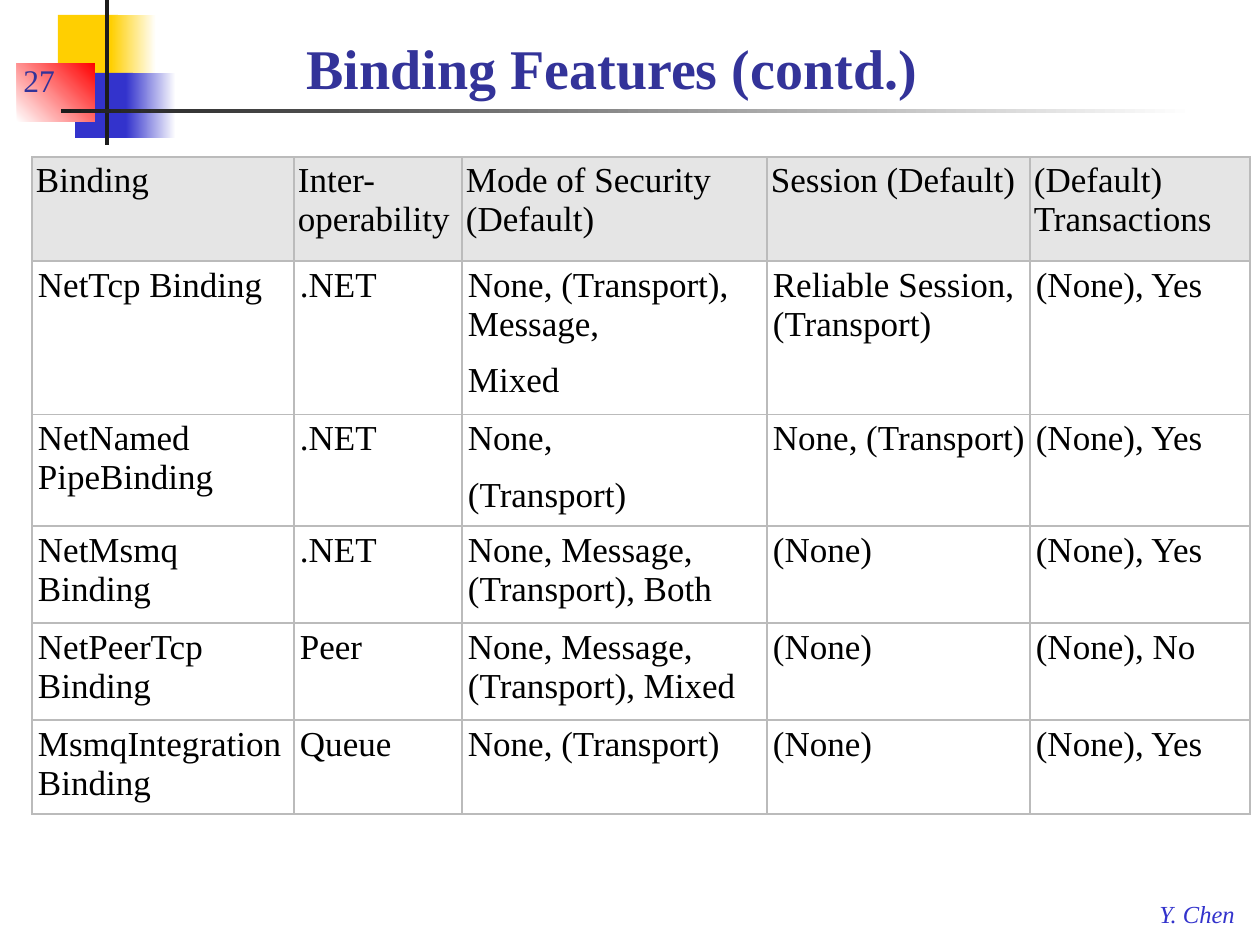
from lxml import etree
from pptx import Presentation
from pptx import util as u
from pptx.dml.color import RGBColor
from pptx.enum import shapes, text
from pptx.oxml.ns import qn

PX = 914400 // 126
FONT = "Times New Roman"
COLORS = {
    "yellow": "FFCF01", "blue": "3333CC", "red": "FF0000", "dark": "1C1C1C",
    "white": "FFFFFF", "title": "333399", "black": "000000",
    "header": "E5E5E5", "border": "BBBBBB",
}
ORNAMENTS = [
    ((58, 15, 60, 66), ["yellow"], 0),
    ((111, 15, 45, 66), ["yellow", "white"], 0),
    ((75, 73, 58, 65), ["blue"], 0),
    ((126, 73, 50, 65), ["blue", "white"], 0),
    ((17, 63, 78, 59), ["white", "red"], 45),
    ((105, 0, 4, 145), ["dark"], 0),
    ((61, 109, 1134, 4), ["dark", "white"], 0),
]
COLUMN_WIDTHS = [262, 168, 305, 263, 220]
ROW_HEIGHTS = [104, 153, 111, 97, 97, 94]
BINDINGS = [
    ["Binding", "Inter-operability", "Mode of Security (Default)",
     "Session (Default)", "(Default) Transactions"],
    ["NetTcp Binding", ".NET", "None, (Transport), Message,\nMixed",
     "Reliable Session, (Transport)", "(None), Yes"],
    ["NetNamed PipeBinding", ".NET", "None,\n(Transport)",
     "None, (Transport)", "(None), Yes"],
    ["NetMsmq Binding", ".NET", "None, Message, (Transport), Both",
     "(None)", "(None), Yes"],
    ["NetPeerTcp Binding", "Peer", "None, Message, (Transport), Mixed",
     "(None)", "(None), No"],
    ["MsmqIntegration Binding", "Queue", "None, (Transport)",
     "(None)", "(None), Yes"],
]


def px(*lengths):
    return [u.Emu(length * PX) for length in lengths]


def rgb(name):
    return RGBColor.from_string(COLORS[name])


def style(paragraph, size, color, bold=False, italic=False):
    font = paragraph.font
    font.name, font.size = FONT, u.Pt(size)
    font.bold, font.italic = bold, italic
    font.color.rgb = rgb(color)


def add_ornament(slide, box, colors, angle):
    ornament = slide.shapes.add_shape(shapes.MSO_SHAPE.RECTANGLE, *px(*box))
    ornament.shadow.inherit = False
    ornament.line.fill.background()
    if len(colors) == 1:
        ornament.fill.solid()
        ornament.fill.fore_color.rgb = rgb(colors[0])
        return
    ornament.fill.gradient()
    ornament.fill.gradient_angle = angle
    for stop, color in zip(ornament.fill.gradient_stops, colors):
        stop.color.rgb = rgb(color)


def set_title(slide, words, box):
    title = slide.shapes.title
    title.left, title.top, title.width, title.height = px(*box)
    frame = title.text_frame
    frame.text = words
    frame.vertical_anchor = text.MSO_ANCHOR.BOTTOM
    frame.paragraphs[0].alignment = text.PP_ALIGN.LEFT
    style(frame.paragraphs[0], 32, "title", bold=True)


def add_label(slide, words, box, size, color, anchor, wrap=True, italic=False):
    frame = slide.shapes.add_textbox(*px(*box)).text_frame
    frame.text = words
    frame.word_wrap = wrap
    frame.vertical_anchor = anchor
    style(frame.paragraphs[0], size, color, italic=italic)


def add_borders(cell):
    properties = cell._tc.get_or_add_tcPr()
    for side in ("a:lnL", "a:lnR", "a:lnT", "a:lnB"):
        line = etree.SubElement(properties, qn(side), w=str(u.Pt(1)))
        fill = etree.SubElement(line, qn("a:solidFill"))
        etree.SubElement(fill, qn("a:srgbClr"), val=COLORS["border"])


def fill_cell(cell, words, is_header):
    margin, = px(4 if is_header else 5)
    cell.margin_left = cell.margin_right = margin
    cell.margin_top = cell.margin_bottom = margin
    add_borders(cell)
    cell.fill.solid()
    cell.fill.fore_color.rgb = rgb("header" if is_header else "white")
    cell.text_frame.text = words
    for paragraph in cell.text_frame.paragraphs:
        if not is_header:
            paragraph.space_after = u.Pt(10)
            paragraph._p.get_or_add_pPr().set("marL", str(PX))
        style(paragraph, 20, "black")


def add_bindings_table(slide, left, top):
    box = px(left, top, sum(COLUMN_WIDTHS), sum(ROW_HEIGHTS))
    table = slide.shapes.add_table(len(ROW_HEIGHTS), len(COLUMN_WIDTHS), *box).table
    table.first_row = table.horz_banding = False
    for column, width in zip(table.columns, px(*COLUMN_WIDTHS)):
        column.width = width
    for index, (row, height) in enumerate(zip(table.rows, px(*ROW_HEIGHTS))):
        row.height = height
        for cell, words in zip(row.cells, BINDINGS[index]):
            fill_cell(cell, words, index == 0)


def main():
    deck = Presentation()
    deck.slide_width, deck.slide_height = px(1260, 945)
    slide = deck.slides.add_slide(deck.slide_layouts[5])
    for box, colors, angle in ORNAMENTS:
        add_ornament(slide, box, colors, angle)
    set_title(slide, "Binding Features (contd.)", (294, 21, 955, 86))
    add_label(slide, "Y. Chen", (1147, 893, 103, 42), 14, "blue",
              text.MSO_ANCHOR.TOP, wrap=False, italic=True)
    add_label(slide, "27", (11, 42, 95, 63), 18, "title", text.MSO_ANCHOR.BOTTOM)
    add_bindings_table(slide, 32, 157)
    deck.save("out.pptx")


if __name__ == "__main__":
    main()
